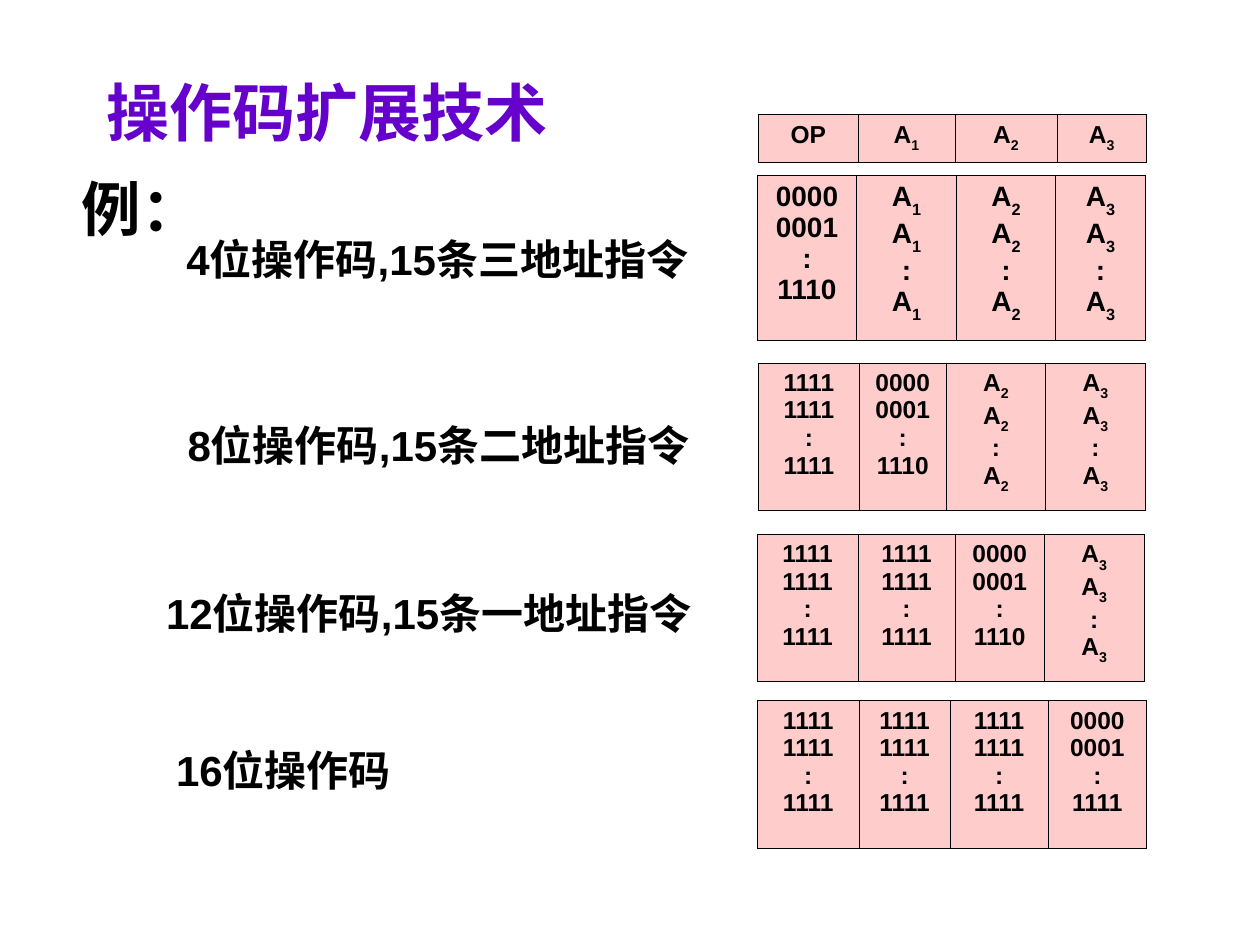
from lxml import etree
from pptx import Presentation
from pptx import util as u
from pptx.dml.color import RGBColor
from pptx.enum import text
from pptx.oxml import ns

HUES = {"title": "6600CC", "ink": "000000", "cell": "FFCCCC"}
ONES = "1111 1111 : 1111"
CODES = "0000 0001 : 1110"
LAST = "0000 0001 : 1111"
A1, A2, A3 = (f"A{n} A{n} : A{n}" for n in (1, 2, 3))

HEAD = ("例：", 0.55, 1.41, 4.61, 0.47, 34, "Calibri", "ink")
TITLE = ("操作码扩展技术", 0.75, 0.52, 8.5, 0.72, 36, "Calibri", "title")
LABELS = [
    ("4位操作码,15条三地址指令", 1.38, 1.8, 4.42),
    ("8位操作码,15条二地址指令", 1.39, 3.28, 4.57),
    ("12位操作码,15条一地址指令", 1.22, 4.61, 4.61),
    ("16位操作码", 1.3, 5.86, 2.06),
]
TABLES = [
    (6.02, 0.91, 0.38, 14, (0.79, 0.77, 0.81, 0.71), ("OP", "A1", "A2", "A3")),
    (6.01, 1.39, 1.31, 16, (0.79, 0.79, 0.79, 0.71), (CODES, A1, A2, A3)),
    (6.02, 2.88, 1.17, 14, (0.8, 0.69, 0.79, 0.79), (ONES, CODES, A2, A3)),
    (6.01, 4.24, 1.17, 14, (0.8, 0.77, 0.71, 0.79), (ONES, ONES, CODES, A3)),
    (6.01, 5.56, 1.17, 14, (0.81, 0.72, 0.78, 0.78), (ONES, ONES, ONES, LAST)),
]


def add_run(para, words, size, face="Arial", hue="ink"):
    """Add one bold run and return it."""
    run = para.add_run()
    run.text = words
    font = run.font
    font.size, font.name, font.bold = u.Pt(size), face, True
    font.color.rgb = RGBColor.from_string(HUES[hue])
    return run


def set_text(shape, words, left, top, wide, high, size, face, hue):
    """Place a shape and write its single line."""
    shape.left, shape.top = u.Inches(left), u.Inches(top)
    shape.width, shape.height = u.Inches(wide), u.Inches(high)
    frame = shape.text_frame
    frame.word_wrap = True
    frame.auto_size = text.MSO_AUTO_SIZE.NONE
    frame.vertical_anchor = text.MSO_ANCHOR.MIDDLE
    para = frame.paragraphs[0]
    para.alignment = text.PP_ALIGN.LEFT
    add_run(para, words, size, face, hue)
    return frame


def add_edges(cell):
    """Draw thin lines on all four sides of a cell."""
    props = cell._tc.get_or_add_tcPr()
    for side in ("lnL", "lnR", "lnT", "lnB"):
        line = etree.SubElement(props, ns.qn("a:" + side), w=str(u.Pt(0.45)))
        fill = etree.SubElement(line, ns.qn("a:solidFill"))
        etree.SubElement(fill, ns.qn("a:srgbClr"), val=HUES["ink"])


def fill_cell(cell, words, size):
    """Write one word a line, with the address digits as subscripts."""
    add_edges(cell)
    cell.fill.solid()
    cell.fill.fore_color.rgb = RGBColor.from_string(HUES["cell"])
    frame = cell.text_frame
    for i, word in enumerate(words.split()):
        para = frame.add_paragraph() if i else frame.paragraphs[0]
        para.alignment = text.PP_ALIGN.CENTER
        if word.startswith("A"):
            add_run(para, word[0], size)
            sub = add_run(para, word[1:], size)
            sub._r.get_or_add_rPr().set("baseline", "-30000")
        else:
            add_run(para, word, size)


def add_grid(slide, left, top, high, size, cols, cells):
    """Add a one-row instruction format table."""
    frame = slide.shapes.add_table(1, len(cols), u.Inches(left), u.Inches(top),
                                   u.Inches(sum(cols)), u.Inches(high))
    grid = frame.table
    grid.first_row = grid.horz_banding = False
    for i, (wide, words) in enumerate(zip(cols, cells)):
        grid.columns[i].width = u.Inches(wide)
        fill_cell(grid.cell(0, i), words, size)


def main():
    """Build the slide on opcode extension."""
    deck = Presentation()
    deck.slide_width, deck.slide_height = u.Inches(10), u.Inches(7.5)
    slide = deck.slides.add_slide(deck.slide_layouts[5])
    set_text(slide.shapes.title, *HEAD)
    for item in TABLES:
        add_grid(slide, *item)
    for words, left, top, wide in LABELS:
        box = slide.shapes.add_textbox(0, 0, 0, 0)
        frame = set_text(box, words, left, top, wide, 0.5, 24, "Arial", "ink")
        frame.word_wrap = False
        frame.auto_size = text.MSO_AUTO_SIZE.SHAPE_TO_FIT_TEXT
    set_text(slide.shapes.add_textbox(0, 0, 0, 0), *TITLE)
    deck.save("out.pptx")


if __name__ == "__main__":
    main()
